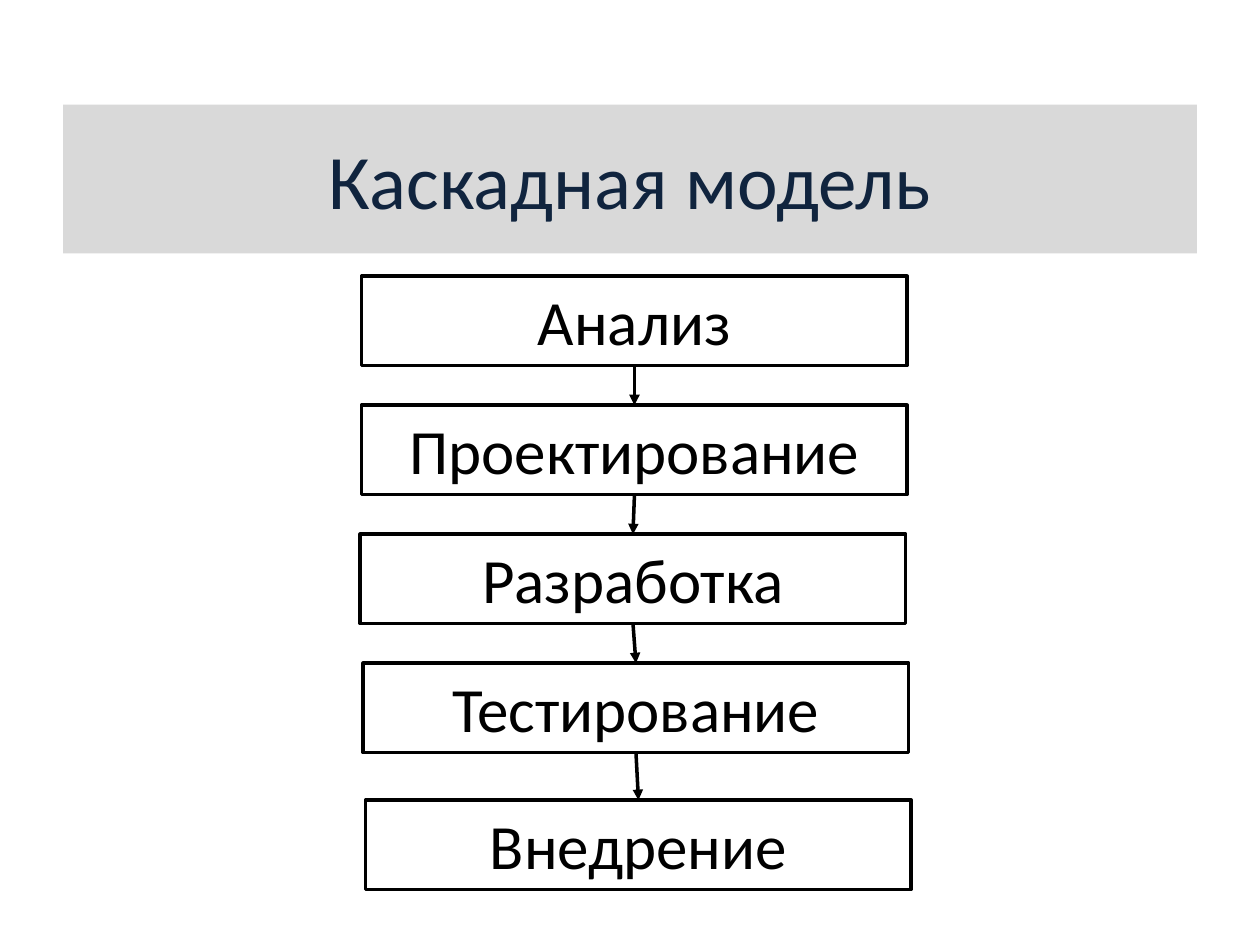
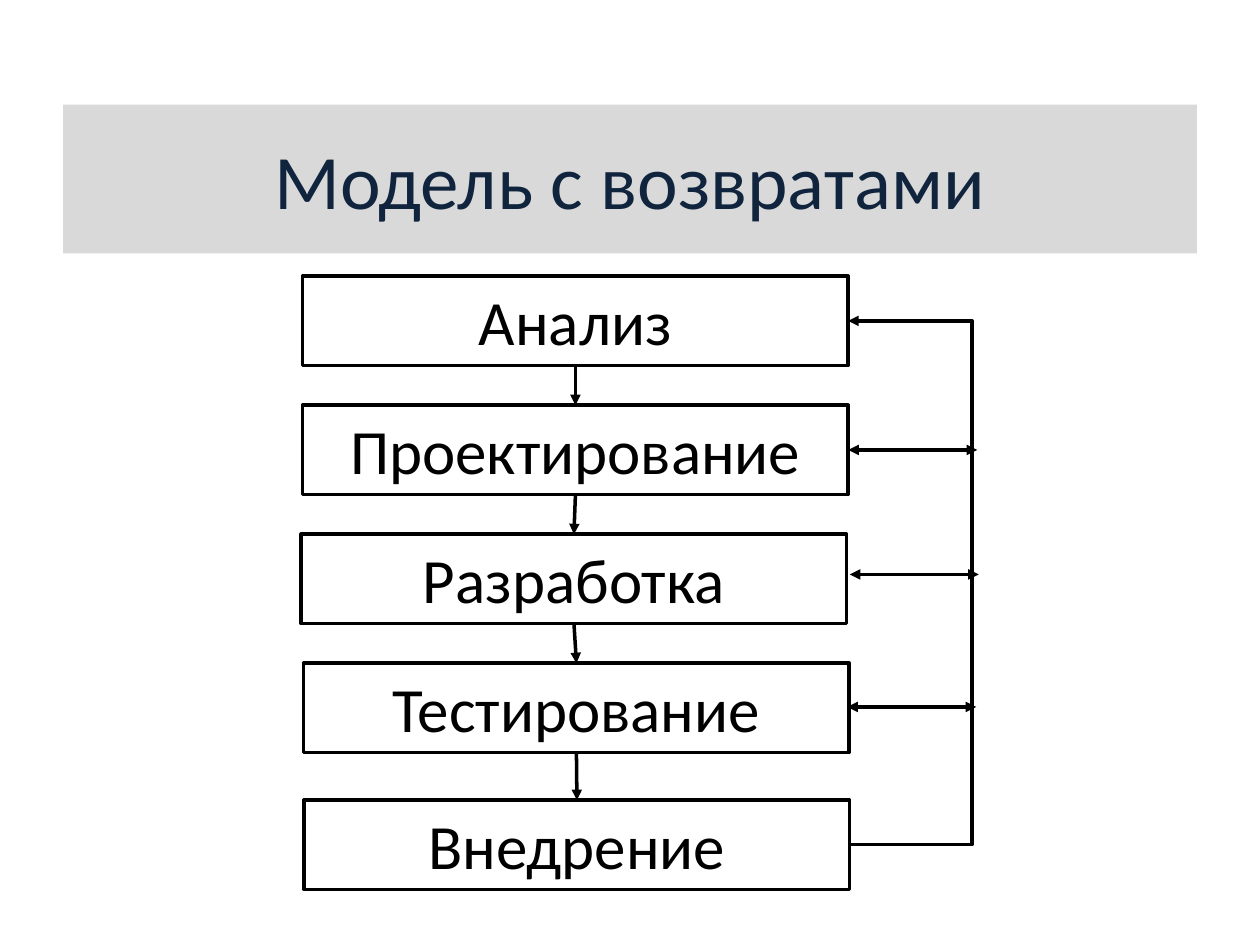
"""Builds two slides that compare the cascade model with the feedback model."""
from dataclasses import dataclass

from lxml import etree
from pptx import Presentation
from pptx import util as u
from pptx.dml import color
from pptx.enum import shapes, text
from pptx.oxml import ns

STAGES = ["Анализ", "Проектирование", "Разработка", "Тестирование", "Внедрение"]
STAGE_TOPS = [5.57, 8.17, 10.77, 13.37, 16.13]
MODELS = [
    {"title": "Каскадная модель",
     "lefts": [7.29, 7.29, 7.26, 7.32, 7.37],
     "returns": [], "return_line": None},
    {"title": "Модель с возвратами",
     "lefts": [6.1, 6.1, 6.07, 6.12, 6.13],
     "returns": [(17.1, 9.07), (17.13, 11.58), (17.08, 14.25)],
     "return_line": 19.6},
]
STAGE_SIZE = (11, 1.8)
TITLE_BAND = {"left": 1.27, "top": 2.11, "width": 22.86, "height": 3}
RETURN_LENGTH = 2.6
BOTTOM, TOP, RIGHT = 2, 0, 3


@dataclass(frozen=True)
class Theme:
    """Colours, font and sizes shared by the slides."""
    band: color.RGBColor = color.RGBColor(0xD9, 0xD9, 0xD9)
    heading: color.RGBColor = color.RGBColor(0x10, 0x24, 0x3E)
    ink: color.RGBColor = color.RGBColor(0, 0, 0)
    font: str = "Calibri"
    heading_size: int = 44
    stage_size: int = 36
    stage_space: float = 7.2
    line: int = 2


THEME = Theme()


def apply(target, values):
    """Sets each named value on the target."""
    for name, value in values.items():
        setattr(target, name, value)


def write(shape, wording, anchor, size, ink, space=0):
    """Puts one centred line of text into the shape."""
    frame = shape.text_frame
    frame.text = wording
    apply(frame, {"word_wrap": True, "vertical_anchor": anchor})
    line = frame.paragraphs[0]
    apply(line, {"alignment": text.PP_ALIGN.CENTER, "space_before": u.Pt(space)})
    font = line.runs[0].font
    apply(font, {"name": THEME.font, "size": u.Pt(size), "bold": False})
    font.color.rgb = ink


def draw_line(shape):
    """Gives the shape the shared black line."""
    shape.line.color.rgb = THEME.ink
    shape.line.width = u.Pt(THEME.line)


def add_arrow(slide, kind, start, end, heads=("tailEnd",)):
    """Adds a connector with triangle heads at the named ends."""
    arrow = slide.shapes.add_connector(kind, *map(u.Cm, start + end))
    draw_line(arrow)
    outline = arrow.line._get_or_add_ln()
    for head in heads:
        etree.SubElement(outline, ns.qn(f"a:{head}"), type="triangle")
    etree.SubElement(arrow._element.spPr, ns.qn("a:effectLst"))
    return arrow


def link(slide, kind, source, source_side, target, target_side):
    """Joins two stages with an arrow attached to the given sides."""
    arrow = add_arrow(slide, kind, (0, 0), (1, 1))
    arrow.begin_connect(source, source_side)
    arrow.end_connect(target, target_side)
    return arrow


def add_title(slide, wording):
    """Formats the title placeholder as the grey band."""
    title = slide.shapes.title
    apply(title, {name: u.Cm(value) for name, value in TITLE_BAND.items()})
    title.fill.solid()
    title.fill.fore_color.rgb = THEME.band
    write(title, wording, text.MSO_ANCHOR.MIDDLE, THEME.heading_size, THEME.heading)


def add_stage(slide, wording, left, top):
    """Adds one outlined stage of the process."""
    stage = slide.shapes.add_shape(
        shapes.MSO_SHAPE.RECTANGLE, *map(u.Cm, (left, top) + STAGE_SIZE))
    stage.shadow.inherit = False
    stage.fill.background()
    draw_line(stage)
    write(stage, wording, text.MSO_ANCHOR.TOP, THEME.stage_size, THEME.ink,
          THEME.stage_space)
    return stage


def add_return_line(slide, last, first, bend):
    """Leads from the last stage back to the first around the right side."""
    route = link(slide, shapes.MSO_CONNECTOR.ELBOW, last, RIGHT, first, RIGHT)
    ratio = (route.begin_x - u.Cm(bend)) / (route.begin_x - route.end_x)
    geometry = route._element.spPr.find(ns.qn("a:prstGeom"))
    guides = geometry.find(ns.qn("a:avLst"))
    if guides is None:
        guides = etree.SubElement(geometry, ns.qn("a:avLst"))
    etree.SubElement(guides, ns.qn("a:gd"), name="adj1",
                     fmla=f"val {round(ratio * 100000)}")


def add_model(deck, model):
    """Adds the slide of one process model."""
    slide = deck.slides.add_slide(deck.slide_layouts[5])
    add_title(slide, model["title"])
    stages = [add_stage(slide, *place)
              for place in zip(STAGES, model["lefts"], STAGE_TOPS)]
    for earlier, later in zip(stages, stages[1:]):
        link(slide, shapes.MSO_CONNECTOR.STRAIGHT, earlier, BOTTOM, later, TOP)
    if model["return_line"]:
        add_return_line(slide, stages[-1], stages[0], model["return_line"])
    for left, level in model["returns"]:
        add_arrow(slide, shapes.MSO_CONNECTOR.STRAIGHT, (left, level),
                  (left + RETURN_LENGTH, level), ("headEnd", "tailEnd"))


def main():
    """Builds and saves the deck."""
    deck = Presentation()
    apply(deck, {"slide_width": u.Cm(25.4), "slide_height": u.Cm(19.05)})
    for model in MODELS:
        add_model(deck, model)
    deck.save("out.pptx")


if __name__ == "__main__":
    main()
